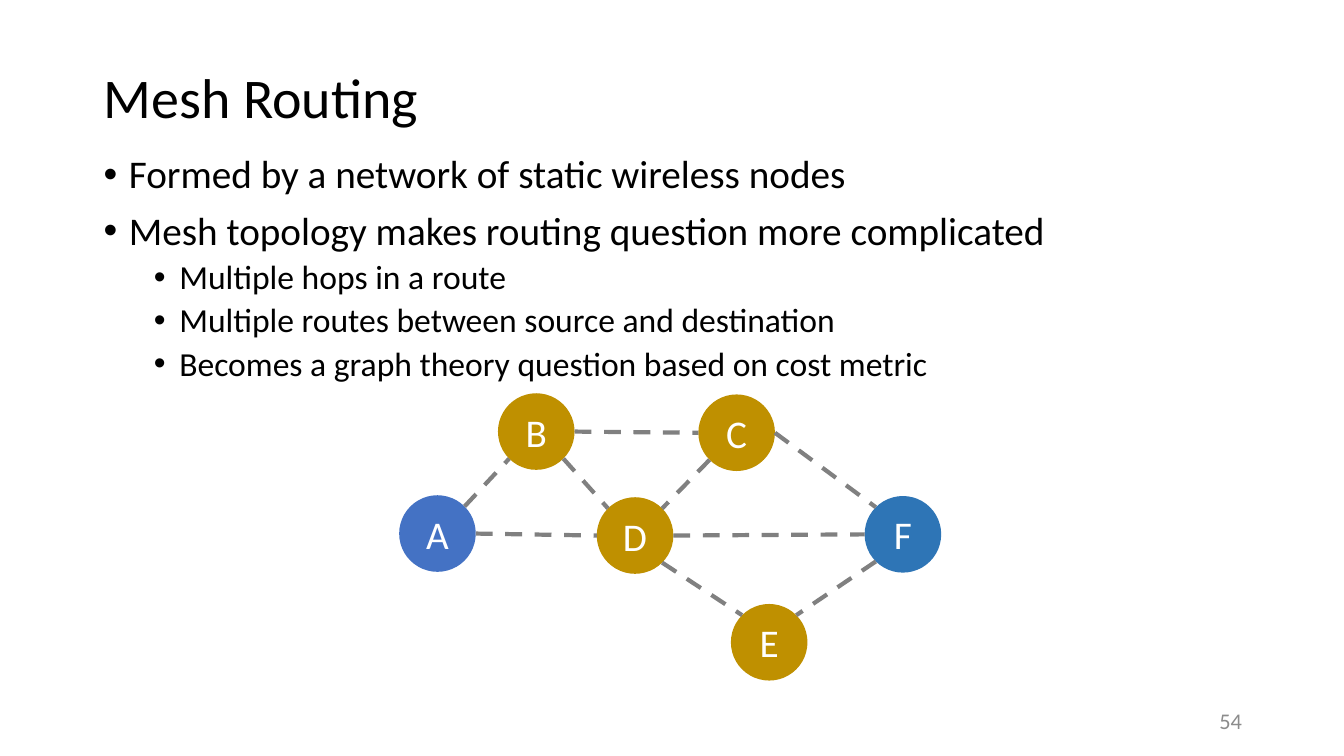
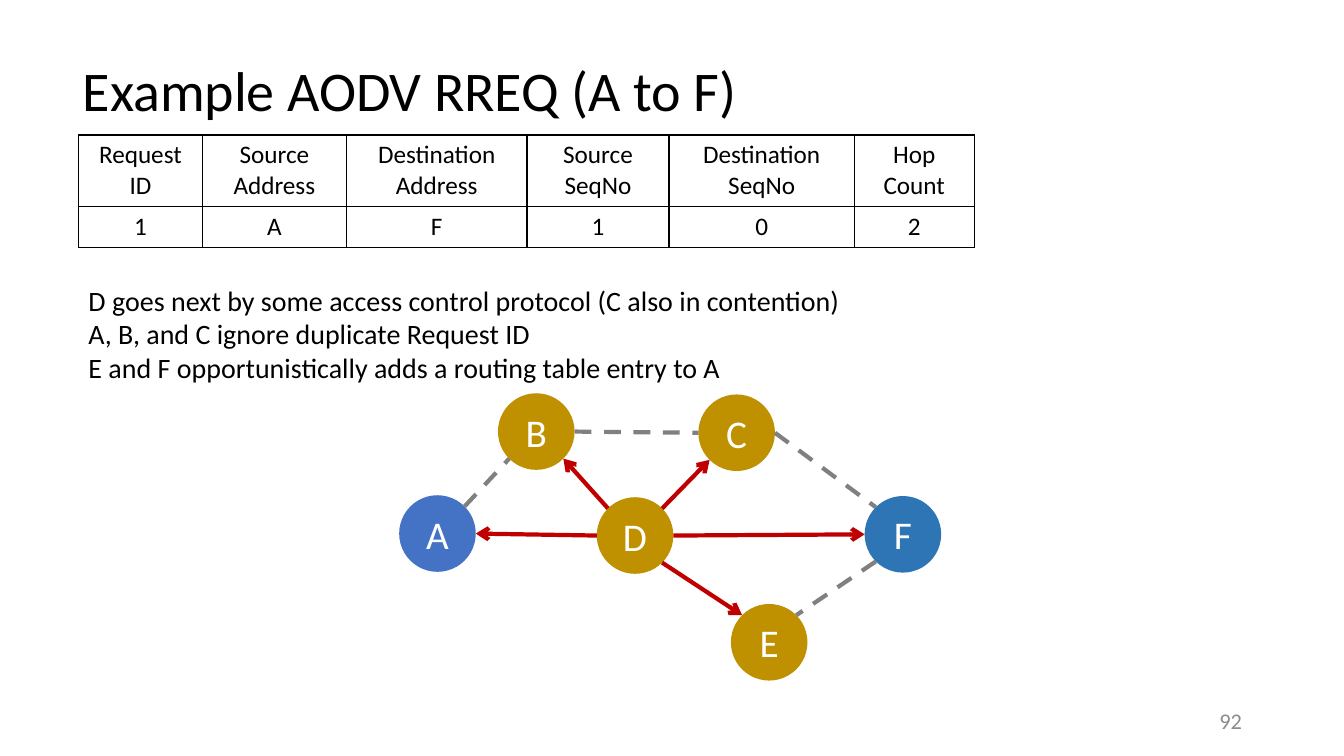
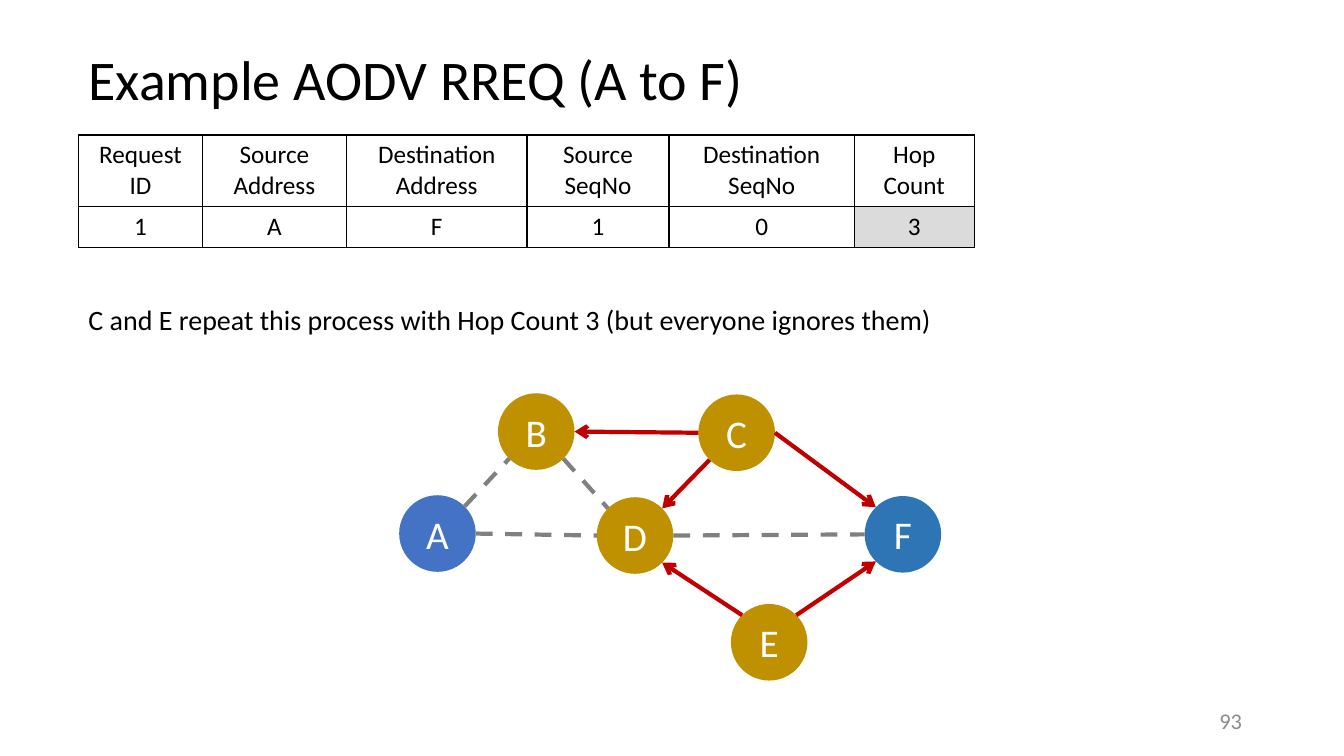
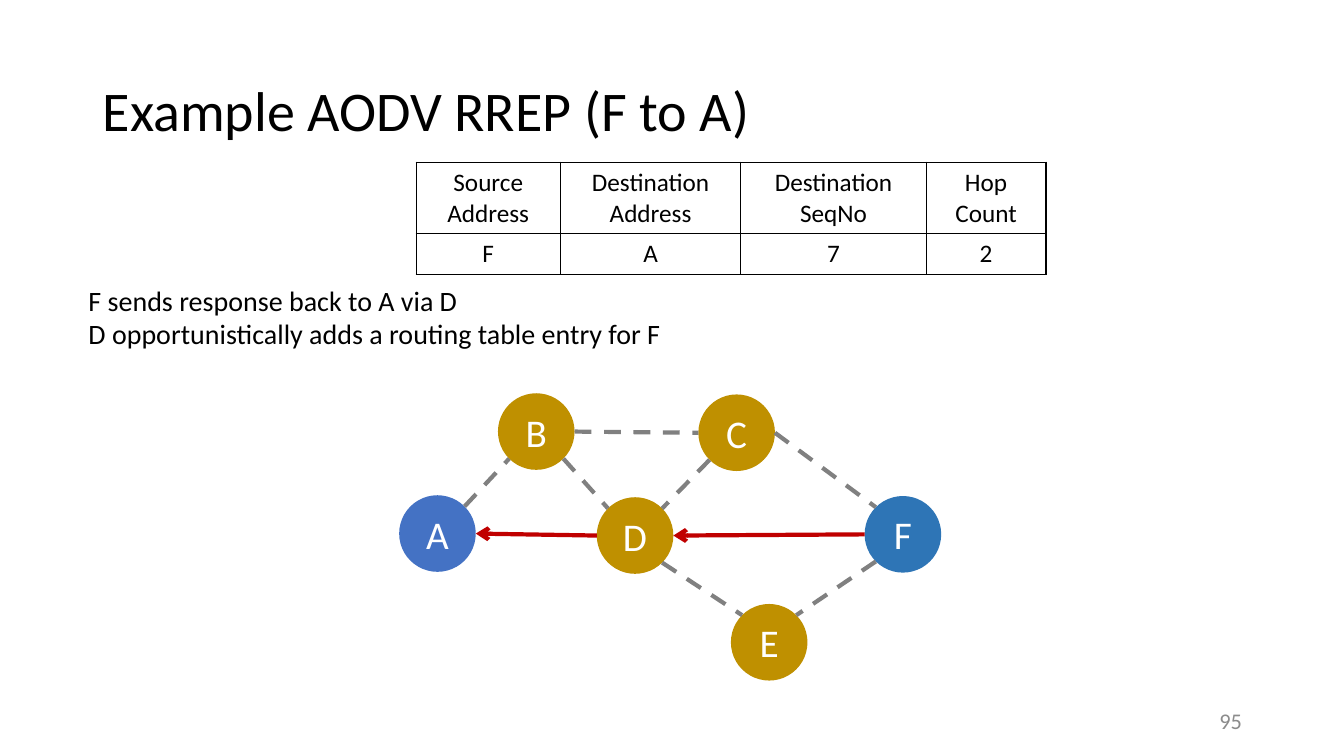
from math import cos, pi, sin

from lxml import etree
from pptx import Presentation
from pptx.dml.color import RGBColor
from pptx.enum.dml import MSO_LINE
from pptx.enum.shapes import MSO_CONNECTOR, MSO_SHAPE
from pptx.enum.text import MSO_ANCHOR, MSO_AUTO_SIZE, PP_ALIGN
from pptx.oxml.ns import qn
from pptx.util import Cm, Pt

DASH = MSO_LINE.DASH
LINE = MSO_CONNECTOR.STRAIGHT
OVAL = MSO_SHAPE.OVAL
MID = MSO_ANCHOR.MIDDLE
NOFIT, GROW = MSO_AUTO_SIZE.NONE, MSO_AUTO_SIZE.SHAPE_TO_FIT_TEXT
LEFT, CENTER, RIGHT = PP_ALIGN.LEFT, PP_ALIGN.CENTER, PP_ALIGN.RIGHT

FONT = "Calibri"
COLORS = {
    "text": "000000", "page": "8C8C8C", "label": "FFFFFF",
    "source": "4472C4", "relay": "BF9000", "target": "2E75B6",
    "link": "808080", "hop": "C00000", "mark": "DBDBDB",
}

NET = (10.06, 9.91)
SIZE = 1.93
NODES = {
    "A": (0, 2.57, "source"),
    "B": (2.49, 0, "relay"),
    "C": (7.54, 0.03, "relay"),
    "D": (4.98, 2.62, "relay"),
    "E": (8.36, 5.31, "relay"),
    "F": (11.73, 2.59, "target"),
}
SITES = {site: turn * pi / 4 for turn, site in
         enumerate(["E", "SE", "S", "SW", "W", "NW", "N", "NE"])}
LINKS = {
    "AB": ("NE", "SW"), "BC": ("E", "W"), "BD": ("SE", "NW"),
    "CD": ("SW", "NE"), "CF": ("E", "NW"), "DF": ("E", "W"),
    "DE": ("SE", "NW"), "FE": ("SW", "NE"), "AD": ("E", "W"),
}

WIDTHS = {
    "Request ID": 3.12, "Source Address": 3.63, "Destination Address": 4.55,
    "Source SeqNo": 3.58, "Destination\vSeqNo": 4.67, "Hop Count": 3.02,
}
HEADS = list(WIDTHS)
REPLY = ["Source Address", "Destination Address", "Destination\vSeqNo", "Hop Count"]
ROWS = (1.8, 1.03)

POINTS = [
    (0, "Formed by a network of static wireless nodes"),
    (0, "Mesh topology makes routing question more complicated"),
    (1, "Multiple hops in a route"),
    (1, "Multiple routes between source and destination"),
    (1, "Becomes a graph theory question based on cost metric"),
]
LEVELS = [(0.64, 28, 10), (1.91, 24, 5)]

STEPS = [
    {
        "title": "Example AODV RREQ (A to F)", "place": (1.83, 0.51), "page": 92,
        "grid": (1.98, 3.4), "heads": HEADS, "values": "1AF102", "mark": None,
        "notes": ["D goes next by some access control protocol (C also in contention)",
                  "A, B, and C ignore duplicate Request ID\v"
                  "E and F opportunistically adds a routing table entry to A"],
        "below": 7.01, "hops": ["DA", "DB", "DC", "DE", "DF"],
    },
    {
        "title": "Example AODV RREQ (A to F)", "place": (1.98, 0.23), "page": 93,
        "grid": (1.98, 3.4), "heads": HEADS, "values": "1AF103", "mark": 5,
        "notes": ["C and E repeat this process with Hop Count 3 (but everyone ignores them)"],
        "below": 7.49, "hops": ["CB", "CD", "CF", "ED", "EF"],
    },
    {
        "title": "Example AODV RREP (F to A)", "place": (2.34, 1.02), "page": 95,
        "grid": (10.49, 4.09), "heads": REPLY, "values": "FA72", "mark": None,
        "notes": ["F sends response back to A via D",
                  "D opportunistically adds a routing table entry for F"],
        "below": 7.01, "hops": ["FD", "DA"],
    },
]


def color(name):
    return RGBColor.from_string(COLORS[name])


def style(para, size, name="text", align=LEFT):
    para.alignment = align
    para.font.name = FONT
    para.font.size = Pt(size)
    para.font.color.rgb = color(name)


def add_box(slide, left, top, width, height):
    box = slide.shapes.add_textbox(Cm(left), Cm(top), Cm(width), Cm(height))
    box.text_frame.word_wrap = True
    return box.text_frame


def fill_text(frame, texts):
    for i, text in enumerate(texts):
        para = frame.add_paragraph() if i else frame.paragraphs[0]
        para.text = text
        yield para


def add_slide(deck, text, place, page):
    slide = deck.slides.add_slide(deck.slide_layouts[5])
    title = slide.shapes.title
    title.left, title.top = map(Cm, place)
    title.width, title.height = Cm(29.21), Cm(3.68)
    frame = title.text_frame
    frame.text = text
    frame.auto_size = NOFIT
    frame.vertical_anchor = MID
    para = frame.paragraphs[0]
    para.line_spacing = 0.9
    style(para, 40)
    foot = add_box(slide, 23.93, 17.65, 7.62, 1.01)
    foot.vertical_anchor = MID
    foot.text = str(page)
    style(foot.paragraphs[0], 16, "page", RIGHT)
    return slide


def add_points(slide, left, top):
    frame = add_box(slide, left, top, 29.21, 12.09)
    paras = fill_text(frame, [text for _, text in POINTS])
    for i, (para, (level, _)) in enumerate(zip(paras, POINTS)):
        indent, size, gap = LEVELS[level]
        para.level = level
        para.line_spacing = 0.9
        para.space_before = Pt(gap if i else 0)
        props = para._p.get_or_add_pPr()
        props.set("marL", str(Cm(indent)))
        props.set("indent", str(-Cm(LEVELS[0][0])))
        etree.SubElement(props, qn("a:buFont"), typeface="Arial")
        etree.SubElement(props, qn("a:buChar"), char="•")
        style(para, size)


def add_notes(slide, left, top, texts):
    frame = add_box(slide, left, top, 28.91, 1.12)
    frame.auto_size = GROW
    for para in fill_text(frame, texts):
        style(para, 20)


def add_border(cell):
    props = cell._tc.get_or_add_tcPr()
    for side in ("lnL", "lnR", "lnT", "lnB"):
        line = etree.SubElement(props, qn("a:" + side), w=str(Pt(1)))
        fill = etree.SubElement(line, qn("a:solidFill"))
        etree.SubElement(fill, qn("a:srgbClr"), val=COLORS["text"])


def add_grid(slide, left, top, heads, values, mark):
    widths = [WIDTHS[head] for head in heads]
    table = slide.shapes.add_table(2, len(heads), Cm(left), Cm(top),
                                   Cm(sum(widths)), Cm(sum(ROWS))).table
    table.first_row = table.horz_banding = False
    for column, width in zip(table.columns, widths):
        column.width = Cm(width)
    for r, texts in enumerate((heads, values)):
        table.rows[r].height = Cm(ROWS[r])
        for c, text in enumerate(texts):
            cell = table.cell(r, c)
            cell.text = text
            cell.vertical_anchor = MID
            style(cell.text_frame.paragraphs[0], 18, align=CENTER)
            add_border(cell)
            if r == 1 and c == mark:
                cell.fill.solid()
                cell.fill.fore_color.rgb = color("mark")
            else:
                cell.fill.background()


def add_link(slide, start, end, hop):
    link = slide.shapes.add_connector(LINE, *map(Cm, start + end))
    link.line.width = Pt(3)
    link.line.color.rgb = color("hop" if hop else "link")
    if hop:
        etree.SubElement(link.line._get_or_add_ln(), qn("a:tailEnd"), type="arrow")
    else:
        link.line.dash_style = DASH
    etree.SubElement(link._element.spPr, qn("a:effectLst"))


def add_net(slide, left, top, hops=()):
    def rim(name, site):
        x, y, _ = NODES[name]
        turn, half = SITES[site], SIZE / 2
        return (left + x + half * (1 + cos(turn)), top + y + half * (1 + sin(turn)))

    for name, (x, y, role) in NODES.items():
        node = slide.shapes.add_shape(OVAL, Cm(left + x), Cm(top + y), Cm(SIZE), Cm(SIZE))
        node.shadow.inherit = False
        node.fill.solid()
        node.fill.fore_color.rgb = color(role)
        node.line.fill.background()
        node.text_frame.text = name
        style(node.text_frame.paragraphs[0], 28, "label", CENTER)
    for pair, sites in LINKS.items():
        start, end = map(rim, pair, sites)
        if pair[::-1] in hops:
            add_link(slide, end, start, True)
        else:
            add_link(slide, start, end, pair in hops)


def add_step(deck, step):
    slide = add_slide(deck, step["title"], step["place"], step["page"])
    add_net(slide, *NET, step["hops"])
    add_grid(slide, *step["grid"], step["heads"], step["values"], step["mark"])
    add_notes(slide, 1.98, step["below"], step["notes"])


def main():
    deck = Presentation()
    deck.slide_width, deck.slide_height = Cm(33.87), Cm(19.05)
    intro = add_slide(deck, "Mesh Routing", (2.36, 0.69), 54)
    add_points(intro, 2.36, 3.78)
    add_net(intro, *NET)
    for step in STEPS:
        add_step(deck, step)
    deck.save("out.pptx")


if __name__ == "__main__":
    main()
